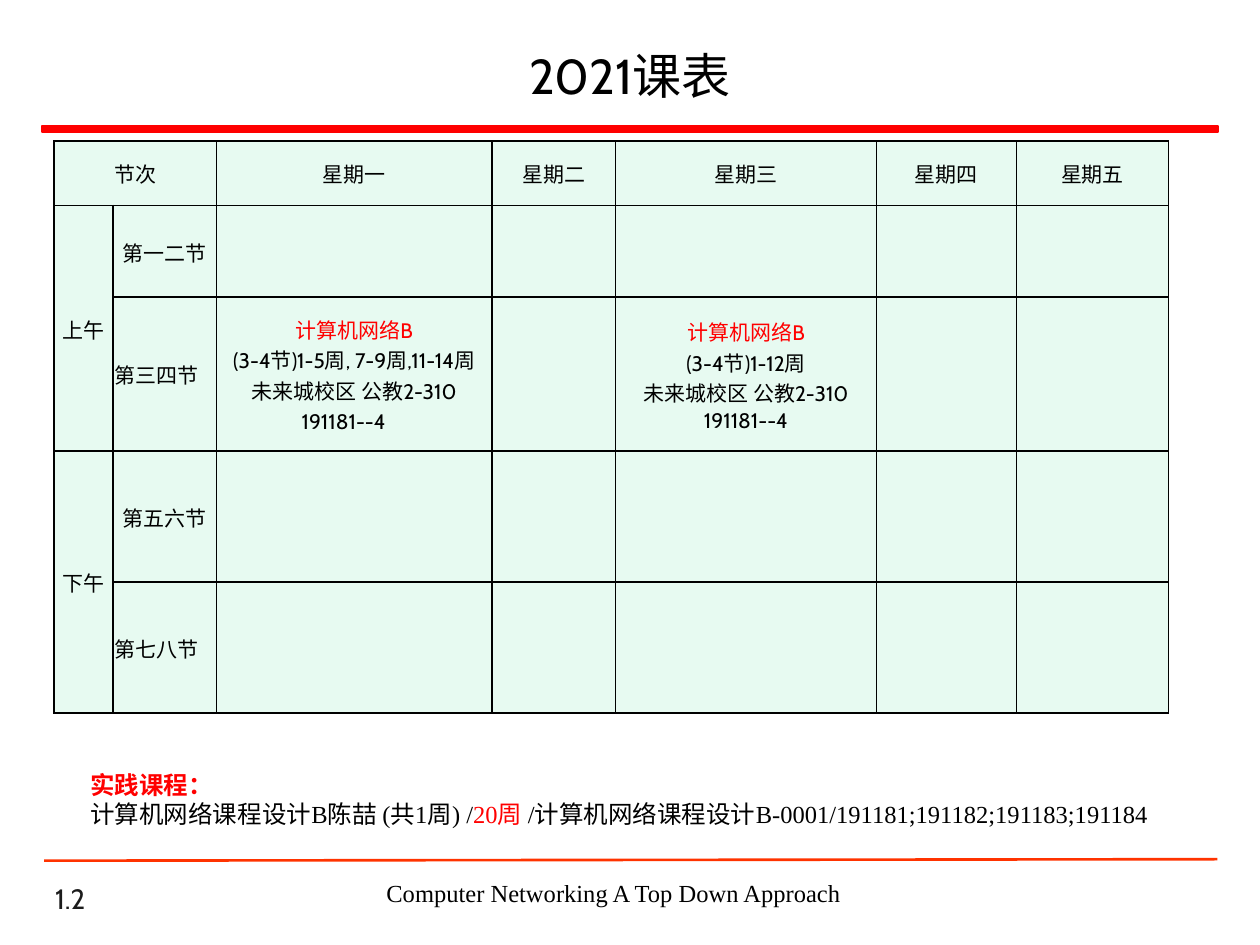
from lxml.etree import SubElement
from pptx import Presentation
from pptx.dml.color import RGBColor
from pptx.enum.shapes import MSO_CONNECTOR, MSO_SHAPE
from pptx.enum.text import MSO_ANCHOR, PP_ALIGN
from pptx.oxml.ns import qn
from pptx.util import Cm, Pt

SERIF, SANS = "Times New Roman", "Cabin"
BLACK, RED, ORANGE, MINT = "000000", "FF0000", "FF3300", "E7FAF1"

COLUMN_WIDTHS = [1.19, 2.08, 5.56, 2.49, 5.26, 2.82, 3.07]
ROW_HEIGHTS = [1.3, 1.85, 2.82, 2.64, 2.64]
DAYS = ["星期一", "星期二", "星期三", "星期四", "星期五"]
HALF_DAYS = [("上午", 1), ("下午", 3)]
PERIODS = ["第一二节", "第三四节", "第五六节", "第七八节"]
COURSE, ROOM = "计算机网络B", "未来城校区 公教2-310"
LESSONS = {
    (2, 2): ["(3-4节)1-5周, 7-9周,11-14周", ROOM, "191181--4　"],
    (2, 4): ["(3-4节)1-12周", ROOM, "191181--4"],
}


def color(value):
    return RGBColor.from_string(value)


def write(frame, paragraphs, size=12, font=SERIF, fill=BLACK, align=PP_ALIGN.LEFT):
    frame.word_wrap = True
    for index, runs in enumerate(paragraphs):
        paragraph = frame.add_paragraph() if index else frame.paragraphs[0]
        paragraph.alignment = align
        for text, options in runs:
            run = paragraph.add_run()
            run.text = text
            run.font.name = font
            run.font.size = Pt(options.get("size", size))
            run.font.bold = options.get("bold", False)
            run.font.color.rgb = color(options.get("fill", fill))


def add_text(slide, box, paragraphs, anchor=MSO_ANCHOR.TOP, **style):
    frame = slide.shapes.add_textbox(*map(Cm, box)).text_frame
    frame.vertical_anchor = anchor
    write(frame, paragraphs, **style)


def add_header(slide, left, top, width):
    title = slide.shapes.title
    title.left, title.top, title.width, title.height = map(Cm, (left, top, width, 1.9))
    title.text_frame.vertical_anchor = MSO_ANCHOR.MIDDLE
    write(title.text_frame, [[("2021课表", {})]], size=28, font=SANS, align=PP_ALIGN.CENTER)
    bar = slide.shapes.add_shape(
        MSO_SHAPE.RECTANGLE, Cm(left), Cm(top + 1.98), Cm(width), Cm(0.13))
    bar.shadow.inherit = False
    bar.fill.solid()
    bar.fill.fore_color.rgb = color(RED)
    bar.line.color.rgb = color(RED)
    bar.line.width = Pt(1)


def add_borders(cell):
    properties = cell._tc.get_or_add_tcPr()
    for index, side in enumerate(("a:lnL", "a:lnR", "a:lnT", "a:lnB")):
        line = properties.makeelement(qn(side), {"w": str(Pt(1))})
        fill = SubElement(line, qn("a:solidFill"))
        SubElement(fill, qn("a:srgbClr"), val=BLACK)
        properties.insert(index, line)


def add_timetable(slide, left, top):
    table = slide.shapes.add_table(
        len(ROW_HEIGHTS), len(COLUMN_WIDTHS), Cm(left), Cm(top),
        Cm(sum(COLUMN_WIDTHS)), Cm(sum(ROW_HEIGHTS))).table
    table.first_row = table.horz_banding = False
    for column, width in zip(table.columns, COLUMN_WIDTHS):
        column.width = Cm(width)
    for row, height in zip(table.rows, ROW_HEIGHTS):
        row.height = Cm(height)
    for cell in table.iter_cells():
        cell.fill.solid()
        cell.fill.fore_color.rgb = color(MINT)
        cell.vertical_anchor = MSO_ANCHOR.MIDDLE
        cell.margin_left = cell.margin_right = cell.margin_top = Cm(0.03)
        cell.margin_bottom = 0
        add_borders(cell)

    def label(row, column, text, align=PP_ALIGN.CENTER):
        write(table.cell(row, column).text_frame, [[(text, {})]], align=align)

    table.cell(0, 0).merge(table.cell(0, 1))
    label(0, 0, "节次")
    for column, day in enumerate(DAYS, start=2):
        label(0, column, day)
    for half_day, row in HALF_DAYS:
        table.cell(row, 0).merge(table.cell(row + 1, 0))
        label(row, 0, half_day)
    for row, period in enumerate(PERIODS, start=1):
        label(row, 1, period, PP_ALIGN.CENTER if row % 2 else PP_ALIGN.LEFT)
    for position, details in LESSONS.items():
        lines = [[(COURSE, {"fill": RED})]] + [[(detail, {})] for detail in details]
        write(table.cell(*position).text_frame, lines, font=SANS, align=PP_ALIGN.CENTER)


def add_practice_courses(slide, left, top, width, height):
    add_text(slide, (left, top, width, height), [
        [("实践课程：", {"fill": RED, "bold": True})],
        [("计算机网络课程设计B陈喆 (共1周) /", {}),
         ("20周 ", {"fill": RED}),
         ("/计算机网络课程设计B-0001/191181;191182;191183;191184", {}),
         ("\u00a0", {"size": 12})],
    ], size=14)


def add_footer(slide, left, top, width):
    rule = slide.shapes.add_connector(
        MSO_CONNECTOR.STRAIGHT, Cm(left), Cm(top + 0.03), Cm(left + width), Cm(top))
    rule.line.color.rgb = color(ORANGE)
    rule.line.width = Pt(1.5)
    SubElement(rule._element.spPr, qn("a:effectLst"))
    add_text(slide, (left - 0.03, top + 0.41, 5.28, 0.84), [[("1.2", {})]],
             anchor=MSO_ANCHOR.BOTTOM, size=16, font=SANS, fill="1C1C1C")
    add_text(slide, (left + 6.3, top + 0.26, 10.36, 0.86),
             [[("Computer Networking A Top Down Approach", {})]],
             size=14, align=PP_ALIGN.CENTER)


def main():
    presentation = Presentation()
    presentation.slide_width, presentation.slide_height = Cm(25.4), Cm(19.05)
    slide = presentation.slides.add_slide(presentation.slide_layouts[5])
    add_header(slide, 0.85, 0.56, 23.7)
    add_timetable(slide, 1.09, 2.84)
    add_practice_courses(slide, 1.57, 15.39, 22.35, 1.45)
    add_footer(slide, 0.89, 17.32, 23.65)
    presentation.save("out.pptx")


if __name__ == "__main__":
    main()
